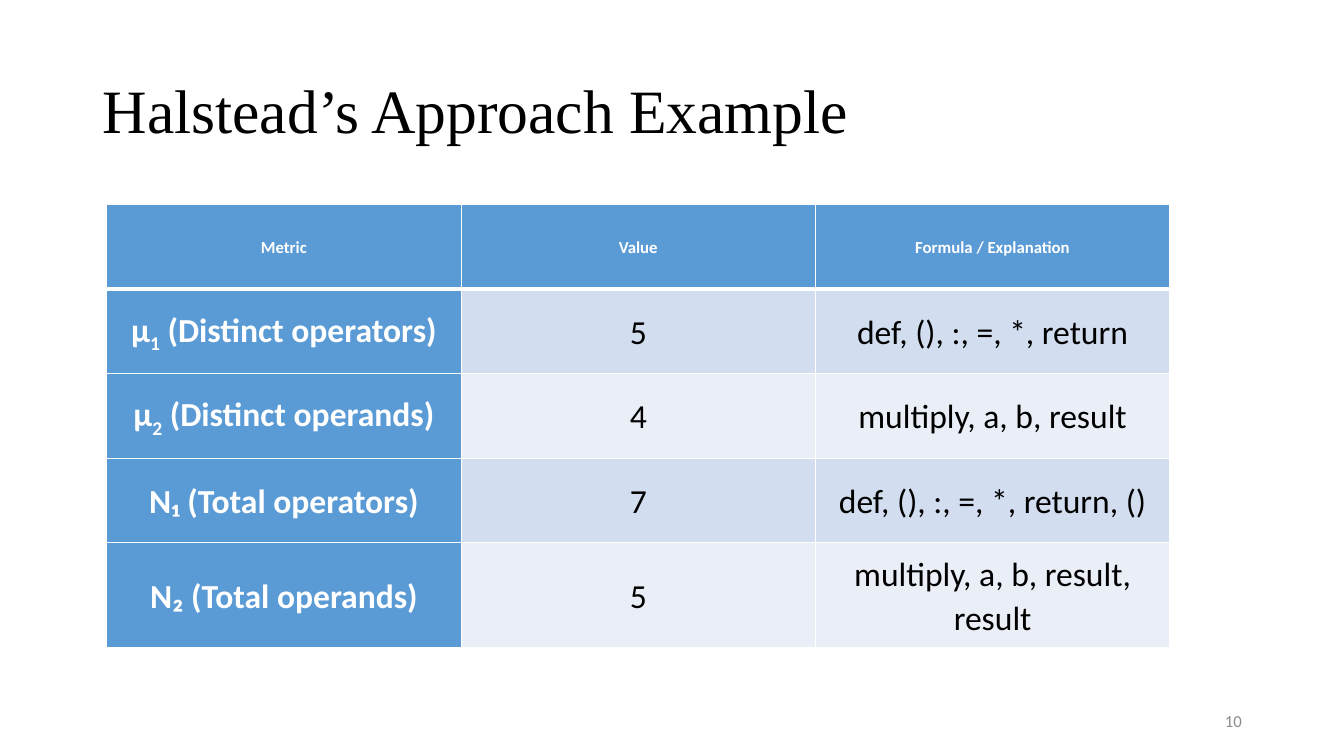
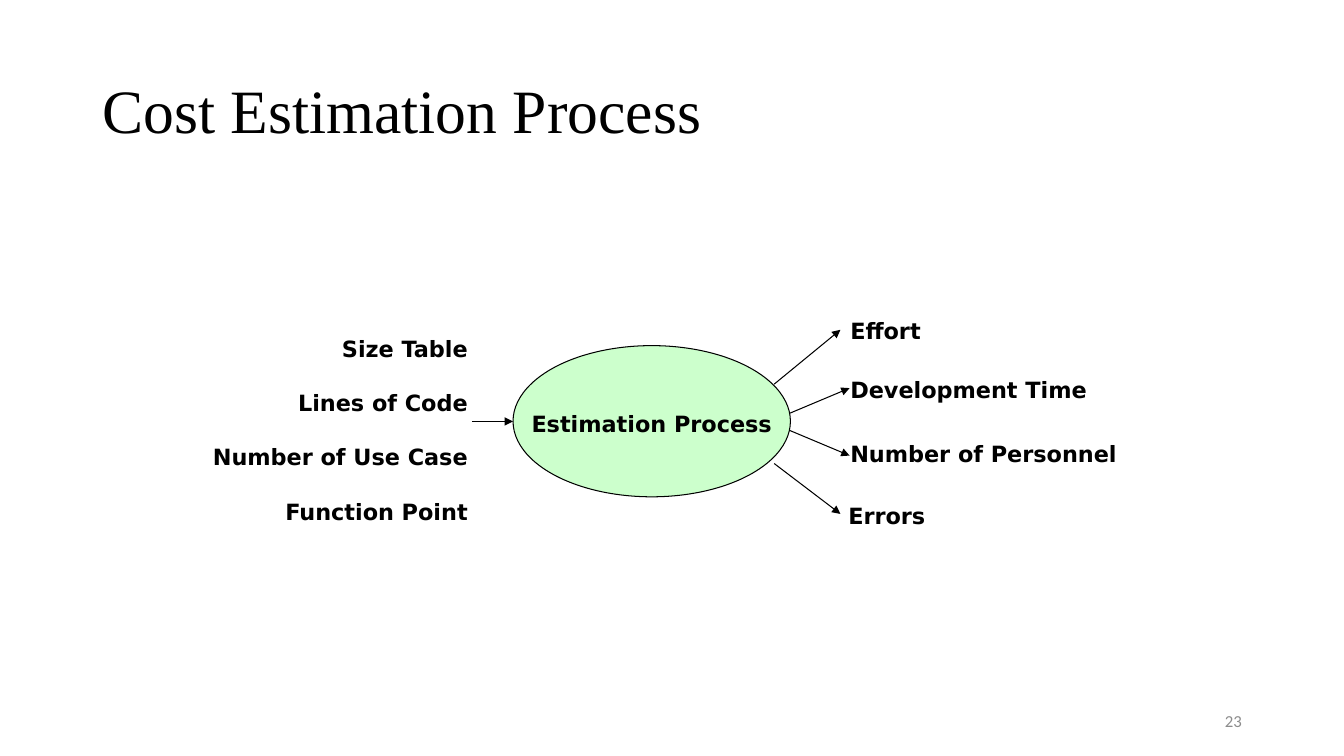
import pptx
import pptx.dml.color
import pptx.enum.shapes
import pptx.enum.text
import pptx.oxml
import pptx.oxml.ns
import pptx.util

Cm = pptx.util.Cm
Pt = pptx.util.Pt
RGBColor = pptx.dml.color.RGBColor
ALIGN = pptx.enum.text.PP_ALIGN
ANCHOR = pptx.enum.text.MSO_ANCHOR

BLACK = RGBColor(0x00, 0x00, 0x00)
WHITE = RGBColor(0xFF, 0xFF, 0xFF)
GREY = RGBColor(0x8C, 0x8C, 0x8C)
BLUE = RGBColor(0x5B, 0x9B, 0xD5)
BANDS = (RGBColor(0xD2, 0xDE, 0xEF), RGBColor(0xEA, 0xEF, 0xF7))
GREEN = RGBColor(0xCC, 0xFF, 0xCC)

TITLE_FONT = "Times New Roman"
BODY_FONT = "Calibri"
DIAGRAM_FONT = "DejaVu Sans"

# Each metric: symbol, subscript, description, value, explanation
METRICS = (
    ("µ", "1", " (Distinct operators)", "5", "def, (), :, =, *, return"),
    ("µ", "2", " (Distinct operands)", "4", "multiply, a, b, result"),
    ("N₁ (Total operators)", "", "", "7", "def, (), :, =, *, return, ()"),
    ("N₂ (Total operands)", "", "", "5", "multiply, a, b, result, result"),
)

INPUTS = ("Size Table", "Lines of Code", "Number of Use Case", "Function Point")

# Each output: label, label left and top, arrow start and end
OUTPUTS = (
    ("Effort", (21.18, 7.87), (19.51, 9.68), (21.18, 8.31)),
    ("Development Time", (21.18, 9.35), (19.91, 10.41), (21.41, 9.78)),
    ("Number of Personnel", (21.18, 10.97), (19.91, 10.85), (21.41, 11.48)),
    ("Errors", (21.13, 12.52), (19.51, 11.68), (21.18, 12.95)),
)


# Text
def add_run(paragraph, text, font, size, color, bold=False):
    run = paragraph.add_run()
    run.text = text
    run.font.name = font
    run.font.size = Pt(size)
    run.font.color.rgb = color
    run.font.bold = bold
    return run


def add_text(slide, left, top, width, height, lines, font, size, color,
             bold=False, align=ALIGN.LEFT, anchor=ANCHOR.TOP,
             line_spacing=1.0, gap=0):
    frame = slide.shapes.add_textbox(
        Cm(left), Cm(top), Cm(width), Cm(height)).text_frame
    frame.word_wrap = True
    frame.vertical_anchor = anchor
    for number, line in enumerate(lines):
        paragraph = frame.add_paragraph() if number else frame.paragraphs[0]
        paragraph.alignment = align
        paragraph.line_spacing = line_spacing
        if number and gap:
            paragraph.space_before = Pt(gap)
        add_run(paragraph, line, font, size, color, bold)


# Title and slide number shared by all slides
def add_slide(deck, title, number):
    slide = deck.slides.add_slide(deck.slide_layouts[6])
    add_text(slide, 2.34, 1.02, 29.21, 3.68, [title], TITLE_FONT, 44, BLACK,
             anchor=ANCHOR.MIDDLE, line_spacing=0.9)
    add_text(slide, 23.93, 17.65, 7.62, 1.02, [number], BODY_FONT, 12, GREY,
             align=ALIGN.RIGHT, anchor=ANCHOR.MIDDLE)
    return slide


# Table cells
def set_borders(cell, top, bottom):
    properties = cell._tc.get_or_add_tcPr()
    sides = (("lnL", 1), ("lnR", 1), ("lnT", top), ("lnB", bottom))
    for position, (side, width) in enumerate(sides):
        border = pptx.oxml.parse_xml(
            f'<a:{side} {pptx.oxml.ns.nsdecls("a")} w="{Pt(width)}">'
            f'<a:solidFill><a:srgbClr val="{WHITE}"/></a:solidFill></a:{side}>')
        properties.insert(position, border)


def fill_cell(cell, parts, size, color, bold, fill):
    cell.fill.solid()
    cell.fill.fore_color.rgb = fill
    cell.vertical_anchor = ANCHOR.MIDDLE
    cell.margin_left = cell.margin_right = Cm(0.03)
    cell.margin_top = cell.margin_bottom = Cm(0.03)
    paragraph = cell.text_frame.paragraphs[0]
    paragraph.alignment = ALIGN.CENTER
    paragraph.line_spacing = 1.07
    for position, part in enumerate(parts):
        if part:
            run = add_run(paragraph, part, BODY_FONT, size, color, bold)
            if position == 1:
                run._r.get_or_add_rPr().set("baseline", "-25000")


def add_metric_table(slide):
    heights = (2.13, 2.13, 2.13, 2.13, 2.64)
    table = slide.shapes.add_table(
        len(heights), 3, Cm(2.69), Cm(5.16), Cm(26.8), Cm(sum(heights))).table
    for column in table.columns:
        column.width = Cm(8.93)
    for row, height in zip(table.rows, heights):
        row.height = Cm(height)

    for column, heading in enumerate(("Metric", "Value", "Formula / Explanation")):
        fill_cell(table.cell(0, column), [heading], 12, WHITE, True, BLUE)
    for row, (*metric, value, explanation) in enumerate(METRICS, 1):
        band = BANDS[(row - 1) % 2]
        fill_cell(table.cell(row, 0), metric, 24, WHITE, True, BLUE)
        fill_cell(table.cell(row, 1), [value], 24, BLACK, False, band)
        fill_cell(table.cell(row, 2), [explanation], 24, BLACK, False, band)

    # A thick rule separates the heading from the metrics
    for row in range(len(heights)):
        for column in range(3):
            set_borders(table.cell(row, column),
                        top=3 if row == 1 else 1, bottom=3 if row == 0 else 1)


# Diagram parts
def add_arrow(slide, start, end):
    arrow = slide.shapes.add_connector(
        pptx.enum.shapes.MSO_CONNECTOR.STRAIGHT,
        *(Cm(value) for value in (*start, *end)))
    arrow.line.color.rgb = BLACK
    arrow.line.width = Pt(0.75)
    namespace = pptx.oxml.ns.nsdecls("a")
    arrow.line._get_or_add_ln().append(
        pptx.oxml.parse_xml(f'<a:tailEnd {namespace} type="triangle"/>'))
    arrow._element.spPr.append(
        pptx.oxml.parse_xml(f"<a:effectLst {namespace}/>"))


def add_process(slide, label):
    process = slide.shapes.add_shape(
        pptx.enum.shapes.MSO_SHAPE.OVAL,
        Cm(12.93), Cm(8.71), Cm(6.99), Cm(3.81))
    process.shadow.inherit = False
    process.fill.solid()
    process.fill.fore_color.rgb = GREEN
    process.line.color.rgb = BLACK
    process.line.width = Pt(0.75)
    frame = process.text_frame
    frame.word_wrap = False
    frame.vertical_anchor = ANCHOR.MIDDLE
    frame.margin_left = frame.margin_right = frame.margin_bottom = 0
    frame.margin_top = Cm(0.12)
    frame.paragraphs[0].alignment = ALIGN.CENTER
    add_run(frame.paragraphs[0], label, DIAGRAM_FONT, 16, BLACK, True)


def add_estimation_diagram(slide):
    add_text(slide, 5.05, 8.31, 6.99, 4.88, INPUTS, DIAGRAM_FONT, 16, BLACK,
             bold=True, align=ALIGN.RIGHT, gap=19.7)
    add_arrow(slide, (11.89, 10.62), (12.93, 10.62))
    add_process(slide, "Estimation Process")
    for label, (left, top), start, end in OUTPUTS:
        add_text(slide, left, top, 7.62, 0.97, [label], DIAGRAM_FONT, 16,
                 BLACK, bold=True)
        add_arrow(slide, start, end)


def main():
    deck = pptx.Presentation()
    deck.slide_width = Cm(33.87)
    deck.slide_height = Cm(19.05)
    add_metric_table(add_slide(deck, "Halstead’s Approach Example", "10"))
    add_estimation_diagram(add_slide(deck, "Cost Estimation Process", "23"))
    deck.save("out.pptx")


if __name__ == "__main__":
    main()
